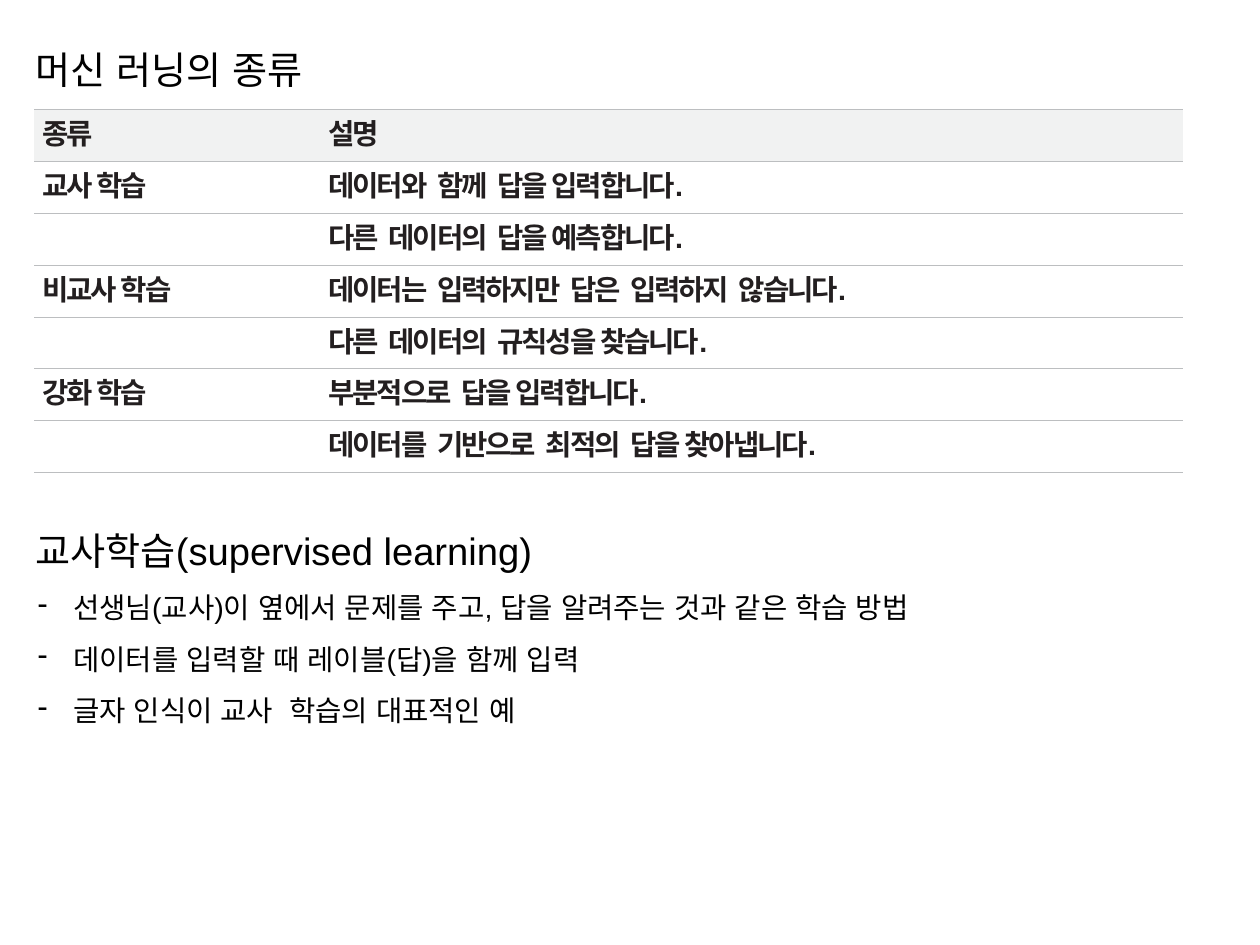
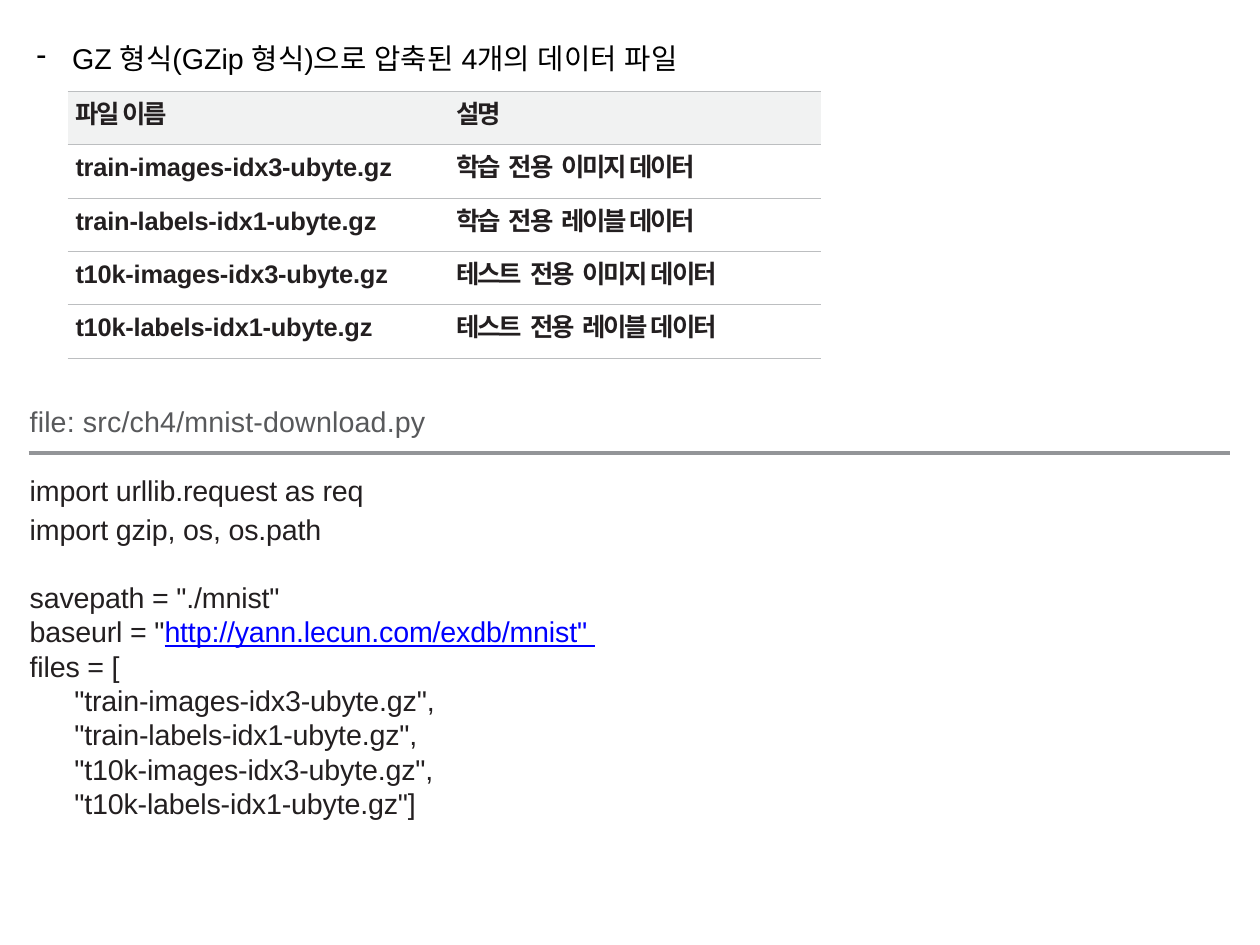
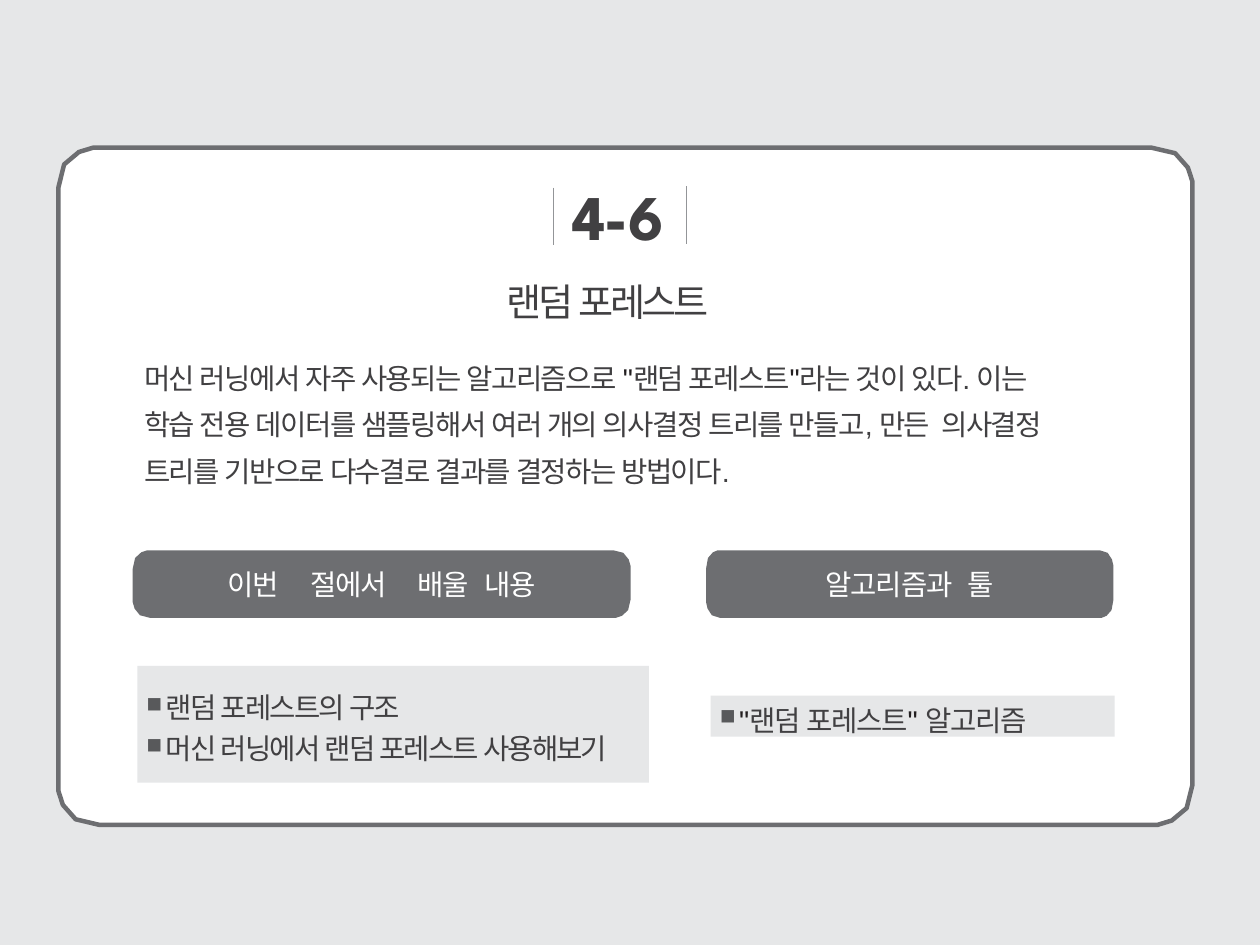
from lxml.etree import SubElement
from pptx import Presentation
from pptx.dml.color import RGBColor
from pptx.enum.shapes import MSO_CONNECTOR, MSO_SHAPE
from pptx.enum.text import MSO_ANCHOR, PP_ALIGN
from pptx.oxml import parse_xml
from pptx.oxml.ns import nsdecls, qn
from pptx.util import Inches, Pt

COLORS = {
    "black": "000000", "ink": "231F20", "text": "414042", "muted": "58595B",
    "dark": "6D6E71", "rule": "939598", "border": "BCBEC0", "link": "0000FF",
    "header": "F1F2F2", "pale": "E6E7E8", "white": "FFFFFF",
}
COLORS = {name: RGBColor.from_string(value) for name, value in COLORS.items()}
DASH = ("-", 0.33, 0.31, None)
SQUARE = ("■", 0.25, 0.17, "58595B")
NO_STYLE = "{2D5ABB26-0587-4C30-8999-92F81FD0307C}"


def style(paragraph, size, color, tracking=0, font="Arial", bold=False, spacing=None, bullet=None):
    if bullet:
        character, margin, hanging, bullet_color = bullet
        properties = paragraph._p.get_or_add_pPr()
        properties.set("marL", str(Inches(margin)))
        properties.set("indent", str(-Inches(hanging)))
        if bullet_color:
            holder = SubElement(properties, qn("a:buClr"))
            SubElement(holder, qn("a:srgbClr")).set("val", bullet_color)
            SubElement(properties, qn("a:buSzPct")).set("val", "75000")
        SubElement(properties, qn("a:buChar")).set("char", character)
    if spacing:
        paragraph.line_spacing = spacing
    for run in paragraph.runs:
        run.font.size = Pt(size)
        run.font.name = font
        run.font.bold = bold
        run.font.color.rgb = COLORS[color]
        run_properties = run._r.get_or_add_rPr()
        run_properties.set("spc", str(round(tracking * 100)))
        SubElement(run_properties, qn("a:ea")).set("typeface", font)


def fill_frame(shape, lines, top_inset=0):
    frame = shape.text_frame
    frame.word_wrap = True
    frame.margin_left = frame.margin_right = frame.margin_bottom = 0
    frame.margin_top = Inches(top_inset)
    frame.text = "\n".join(lines)
    return frame.paragraphs


presentation = Presentation()
presentation.slide_width = Inches(11.01)
presentation.slide_height = Inches(8.26)
kinds_slide, files_slide, forest_slide = [
    presentation.slides.add_slide(presentation.slide_layouts[6]) for _ in range(3)
]

box = kinds_slide.shapes.add_textbox(Inches(0.31), Inches(0.21), Inches(10.41), Inches(0.6))
style(fill_frame(box, ["머신 러닝의 종류"])[0], 24, "black", spacing=1.5)

box = kinds_slide.shapes.add_textbox(Inches(0.31), Inches(4.41), Inches(10.41), Inches(2))
heading, *points = fill_frame(box, [
    "교사학습(supervised learning)",
    "선생님(교사)이 옆에서 문제를 주고, 답을 알려주는 것과 같은 학습 방법",
    "데이터를 입력할 때 레이블(답)을 함께 입력",
    "글자 인식이 교사  학습의 대표적인 예",
])
style(heading, 24, "black", spacing=1.5)
for point in points:
    style(point, 18, "black", spacing=1.5, bullet=DASH)

box = files_slide.shapes.add_textbox(Inches(0.3), Inches(0.21), Inches(10.42), Inches(0.39))
style(fill_frame(box, ["GZ 형식(GZip 형식)으로 압축된 4개의 데이터 파일"])[0],
      18, "black", spacing=1.5, bullet=DASH)

kind_rows = [
    ("종류", "설명"),
    ("교사 학습", "데이터와  함께  답을 입력합니다."),
    ("", "다른  데이터의  답을 예측합니다."),
    ("비교사 학습", "데이터는  입력하지만  답은  입력하지  않습니다."),
    ("", "다른  데이터의  규칙성을 찾습니다."),
    ("강화 학습", "부분적으로  답을 입력합니다."),
    ("", "데이터를  기반으로  최적의  답을 찾아냅니다."),
]
file_rows = [
    ("파일 이름", "설명"),
    ("train-images-idx3-ubyte.gz", "학습  전용  이미지 데이터"),
    ("train-labels-idx1-ubyte.gz", "학습  전용  레이블 데이터"),
    ("t10k-images-idx3-ubyte.gz", "테스트  전용  이미지 데이터"),
    ("t10k-labels-idx1-ubyte.gz", "테스트  전용  레이블 데이터"),
]
tables = [
    (kinds_slide, kind_rows, 0.3, 0.96, 3.17, (2.5, 7.54), (0.07, 0.07), 18),
    (files_slide, file_rows, 0.59, 0.8, 2.33, (3.11, 3.47), (0.07, 0.29), 16),
]
for slide, rows, left, top, height, widths, margins, size in tables:
    table = slide.shapes.add_table(len(rows), 2, Inches(left), Inches(top),
                                   Inches(sum(widths)), Inches(height)).table
    table.first_row = table.horz_banding = False
    table._tbl.tblPr.find(qn("a:tableStyleId")).text = NO_STYLE
    for column, width in zip(table.columns, widths):
        column.width = Inches(width)
    for row_index, row in enumerate(rows):
        for column_index, text in enumerate(row):
            cell = table.cell(row_index, column_index)
            cell.margin_left = Inches(margins[column_index])
            cell.margin_top = Inches(0.08)
            cell.margin_right = cell.margin_bottom = 0
            if row_index == 0:
                cell.fill.solid()
                cell.fill.fore_color.rgb = COLORS["header"]
            else:
                cell.fill.background()
            for position, side in enumerate(("lnT", "lnB")):
                cell._tc.get_or_add_tcPr().insert(position, parse_xml(
                    f'<a:{side} {nsdecls("a")} w="{Pt(0.5)}"><a:solidFill>'
                    f'<a:srgbClr val="{COLORS["border"]}"/></a:solidFill></a:{side}>'))
            paragraph = cell.text_frame.paragraphs[0]
            paragraph.text = text
            paragraph.font.size = Pt(size)
            style(paragraph, size, "ink", -0.1 if text.endswith(".gz") else -1.3, bold=True)

box = files_slide.shapes.add_textbox(Inches(0.26), Inches(3.53), Inches(10.66), Inches(0.3))
style(fill_frame(box, ["file: src/ch4/mnist-download.py"])[0], 18, "muted", 0.1)

code_lines = [
    ("import urllib.request as req", 0, 0),
    ("import gzip, os, os.path", 0, 3.4),
    ('savepath = "./mnist"', 0, 21),
    ('baseurl = "', 0, 0),
    ("files = [", 0, 0),
    ('"train-images-idx3-ubyte.gz",', 0.39, 0),
    ('"train-labels-idx1-ubyte.gz",', 0.39, 0),
    ('"t10k-images-idx3-ubyte.gz",', 0.39, 0),
    ('"t10k-labels-idx1-ubyte.gz"]', 0.39, 0),
]
box = files_slide.shapes.add_textbox(Inches(0.26), Inches(4.13), Inches(10.66), Inches(3.08))
paragraphs = fill_frame(box, [line[0] for line in code_lines])
for paragraph, (text, indent, space_before) in zip(paragraphs, code_lines):
    if indent:
        paragraph._p.get_or_add_pPr().set("marL", str(Inches(indent)))
    if space_before:
        paragraph.space_before = Pt(space_before)
    if text.startswith("baseurl"):
        address = paragraph.add_run()
        address.text = 'http://yann.lecun.com/exdb/mnist" '
    style(paragraph, 18, "ink", -0.1)
address.font.color.rgb = COLORS["link"]
address.font.underline = True

forest_slide.background.fill.solid()
forest_slide.background.fill.fore_color.rgb = COLORS["pale"]

corner_steps = [(1, 0), (0.85, 0), (0.5, 0.11), (0.14, 0.42), (0, 1)]
rounded_boxes = [
    (0.51, 1.29, 9.91, 5.92, 0.36, 0.35, "white", None),
    (1.16, 4.81, 4.35, 0.59, 0.15, 0.16, "dark", "이번  절에서  배울 내용"),
    (6.17, 4.81, 3.56, 0.59, 0.12, 0.16, "dark", "알고리즘과 툴"),
]
for left, top, width, height, radius_x, radius_y, fill, label in rounded_boxes:
    right, bottom = left + width, top + height
    points = [(left + a * radius_x, top + b * radius_y) for a, b in corner_steps]
    points += [(left + b * radius_x, bottom - a * radius_y) for a, b in corner_steps]
    points += [(right - a * radius_x, bottom - b * radius_y) for a, b in corner_steps]
    points += [(right - b * radius_x, top + a * radius_y) for a, b in corner_steps]
    points = [(Inches(x), Inches(y)) for x, y in points]
    builder = forest_slide.shapes.build_freeform(*points[0])
    builder.add_line_segments(points[1:], close=True)
    shape = builder.convert_to_shape()
    shape.shadow.inherit = False
    shape.fill.solid()
    shape.fill.fore_color.rgb = COLORS[fill]
    if label:
        shape.line.fill.background()
        paragraph = fill_frame(shape, [label])[0]
        shape.text_frame.vertical_anchor = MSO_ANCHOR.MIDDLE
        paragraph.alignment = PP_ALIGN.CENTER
        style(paragraph, 18, "white", -0.7, "Courier New")
    else:
        shape.line.color.rgb = COLORS["dark"]
        shape.line.width = Pt(2.83)

rules = [
    (files_slide, 0.25, 3.96, 10.75, 3.96, 2.25),
    (forest_slide, 4.84, 1.64, 4.84, 2.14, 0.5),
    (forest_slide, 6, 1.63, 6, 2.13, 0.5),
]
for slide, start_x, start_y, end_x, end_y, weight in rules:
    connector = slide.shapes.add_connector(MSO_CONNECTOR.STRAIGHT, Inches(start_x),
                                           Inches(start_y), Inches(end_x), Inches(end_y))
    connector.line.color.rgb = COLORS["rule"]
    connector.line.width = Pt(weight)
    SubElement(connector._element.spPr, qn("a:effectLst"))

box = forest_slide.shapes.add_textbox(Inches(5), Inches(1.55), Inches(1.03), Inches(0.67))
style(fill_frame(box, ["4-6"])[0], 40, "text", -0.4, "League Spartan", bold=True)

box = forest_slide.shapes.add_textbox(Inches(4.43), Inches(2.43), Inches(2.01), Inches(0.4))
style(fill_frame(box, ["랜덤 포레스트"])[0], 24, "text", -2)

box = forest_slide.shapes.add_textbox(Inches(1.26), Inches(3.05), Inches(8.16), Inches(1.23))
description = fill_frame(box, ["머신 러닝에서 자주 사용되는 알고리즘으로 "])[0]
for text in ('"', "랜덤 포레스트", '"',
             "라는 것이 있다. 이는 학습 전용 데이터를 샘플링해서 여러 개의 의사결정 트리를 만들고, "
             "만든  의사결정 트리를 기반으로 다수결로 결과를 결정하는 방법이다."):
    description.add_run().text = text
style(description, 18, "text", -1, spacing=1.35)

topic_boxes = [
    (1.2, 5.82, 4.47, 1.02, ["랜덤 포레스트의 구조", "머신 러닝에서 랜덤 포레스트 사용해보기"], -1.2),
    (6.21, 6.08, 3.53, 0.36, ['"'], -0.8),
]
for left, top, width, height, topics, tracking in topic_boxes:
    shape = forest_slide.shapes.add_shape(MSO_SHAPE.RECTANGLE, Inches(left), Inches(top),
                                          Inches(width), Inches(height))
    shape.shadow.inherit = False
    shape.fill.solid()
    shape.fill.fore_color.rgb = COLORS["pale"]
    shape.line.fill.background()
    paragraphs = fill_frame(shape, topics, 0.06)
    shape.text_frame.vertical_anchor = MSO_ANCHOR.MIDDLE
    if topics == ['"']:
        for text in ("랜덤 포레스트", '" ', "알고리즘"):
            paragraphs[0].add_run().text = text
    for index, paragraph in enumerate(paragraphs):
        paragraph.alignment = PP_ALIGN.LEFT
        style(paragraph, 18, "text", tracking, bullet=SQUARE)
        if index:
            paragraph.space_before = Pt(4)
for run in description.runs + paragraphs[0].runs:
    if run.text.strip() == '"':
        run.font.color.rgb = COLORS["ink"]
        run._r.get_or_add_rPr().set("spc", "-10")
    elif run in paragraphs[0].runs:
        run.font.name = "Courier New"

presentation.save("out.pptx")
